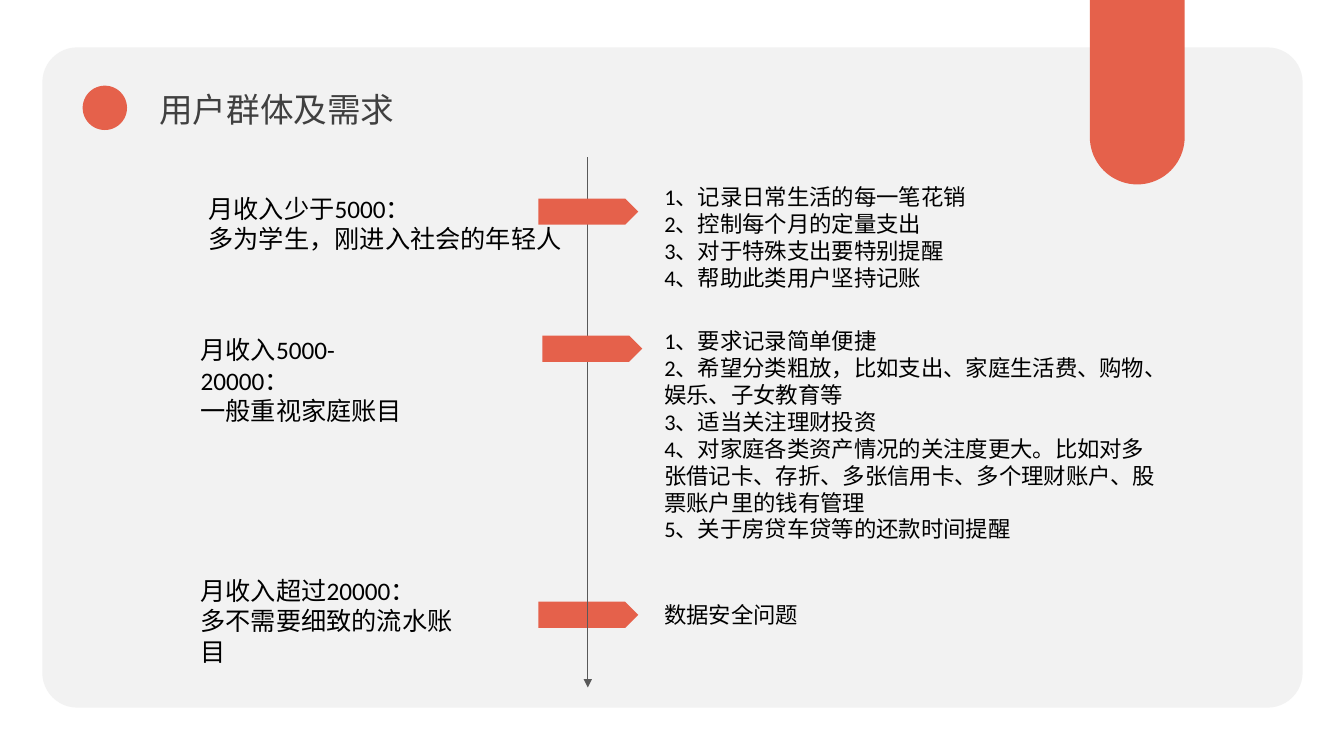
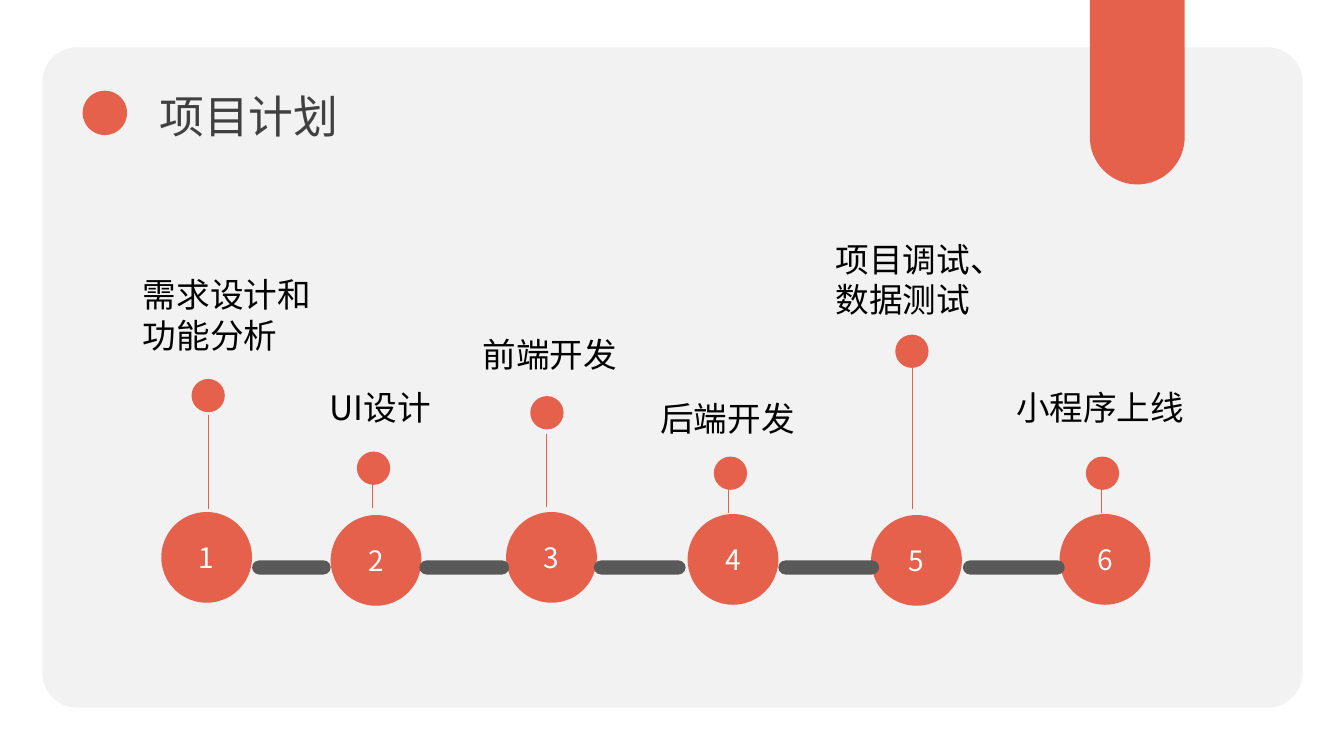
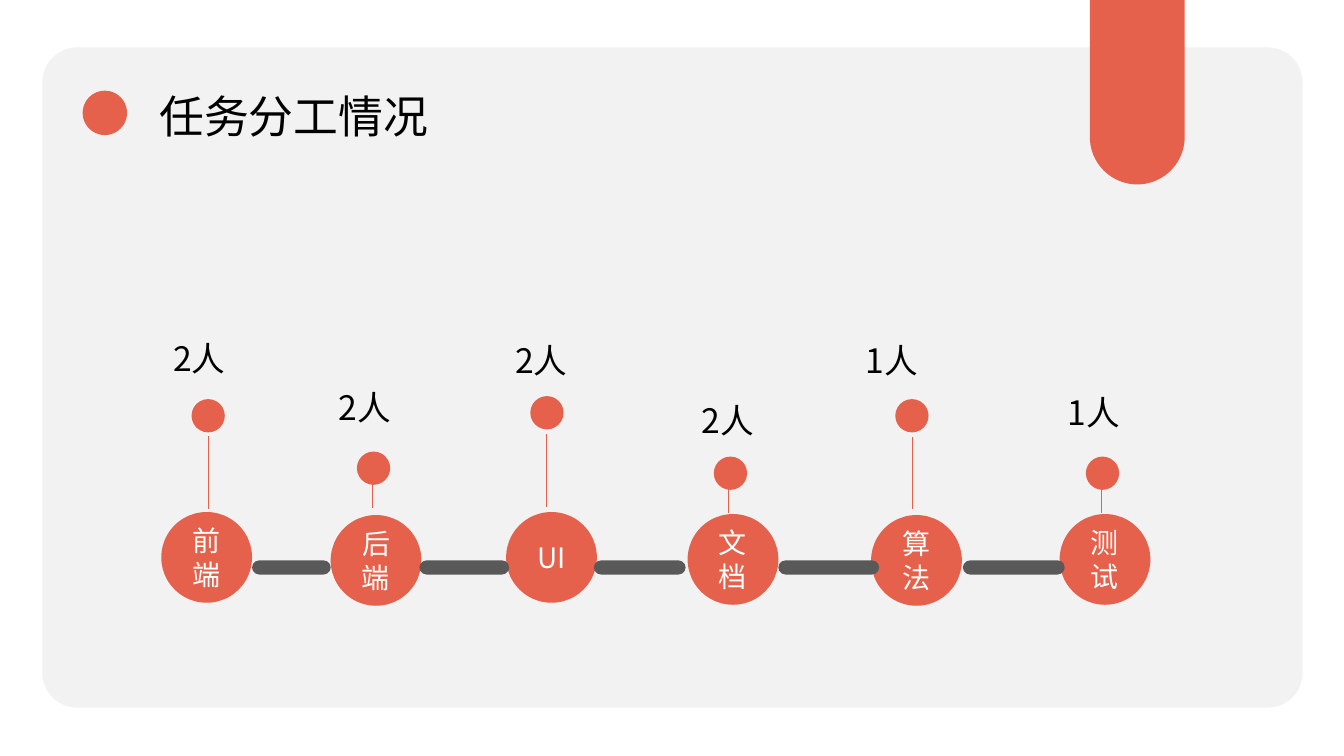
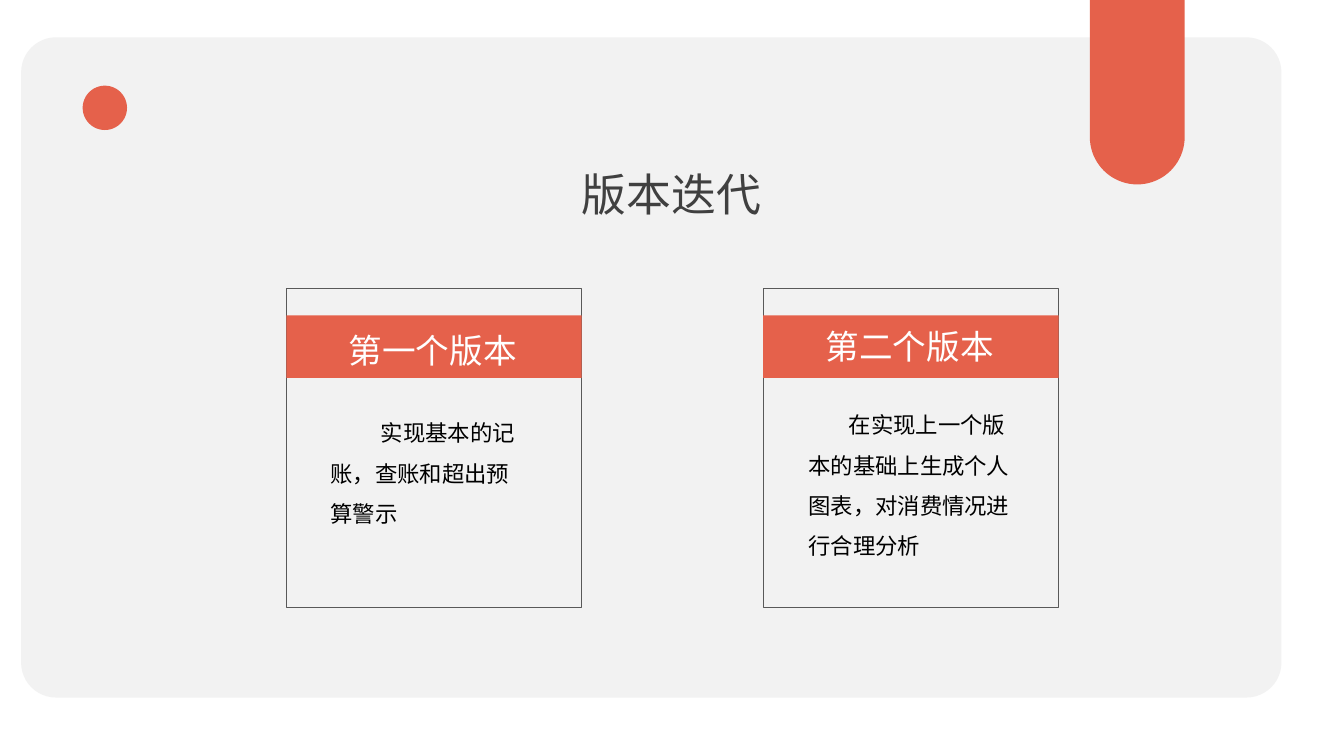
from math import cos, pi, sin

from lxml.etree import SubElement
from pptx import Presentation
from pptx.dml.color import RGBColor
from pptx.enum.lang import MSO_LANGUAGE_ID
from pptx.enum.shapes import MSO_CONNECTOR, MSO_SHAPE
from pptx.enum.text import MSO_ANCHOR, MSO_AUTO_SIZE, PP_ALIGN
from pptx.oxml.ns import qn
from pptx.util import Inches, Pt

RED = RGBColor(0xE5, 0x61, 0x4B)
PALE = RGBColor(0xF2, 0xF2, 0xF2)
GRAY = RGBColor(0x59, 0x59, 0x59)
DARK = RGBColor(0x40, 0x40, 0x40)
BLACK = RGBColor(0, 0, 0)
WHITE = RGBColor(0xFF, 0xFF, 0xFF)
SANS = "Noto Sans CJK SC"
LATIN = "Calibri"


def draw(slide, kind, at, fill=None, line=None, round=None):
    """Add a preset shape; at is left, top, width, height in inches."""
    shape = slide.shapes.add_shape(kind, *map(Inches, at))
    shape.shadow.inherit = False
    if fill is None:
        shape.fill.background()
    else:
        shape.fill.solid()
        shape.fill.fore_color.rgb = fill
    if line is None:
        shape.line.fill.background()
    else:
        shape.line.color.rgb = line
        shape.line.width = Pt(1)
    if round is not None:
        shape.adjustments[0] = round
    return shape


def write(box, text, size=16, color=BLACK, font=SANS, align=PP_ALIGN.LEFT,
          anchor=MSO_ANCHOR.TOP, wrap=True, grow=True, space=None, indent=0):
    """Fill a shape with text, one paragraph per line."""
    frame = box.text_frame
    frame.text = text
    frame.word_wrap = wrap
    frame.vertical_anchor = anchor
    frame.auto_size = MSO_AUTO_SIZE.SHAPE_TO_FIT_TEXT if grow else MSO_AUTO_SIZE.NONE
    for para in frame.paragraphs:
        para.alignment = align
        if space:
            para.line_spacing = space
        for run in para.runs:
            run.font.name = font
            run.font.size = Pt(size)
            run.font.color.rgb = color
            run.font.language_id = MSO_LANGUAGE_ID.SIMPLIFIED_CHINESE
    for props in box.element.iter(qn("a:rPr")):
        SubElement(props, qn("a:ea"), typeface=SANS)
    if indent:
        for props in box.element.iter(qn("a:pPr")):
            props.set("indent", str(Inches(indent)))


deck = Presentation()
deck.slide_width = Inches(13.33)
deck.slide_height = Inches(7.5)

# Shared frame: title, size, colour, title place, dot top, panel corner
pages = [
    ("用户群体及需求", 24, DARK, (1.48, 0.83, 2.56, 0.5), 0.85, (0.42, 0.47)),
    ("项目计划", 32, DARK, (1.48, 0.83, 2, 0.64), 0.9, (0.42, 0.47)),
    ("任务分工情况", 32, BLACK, (1.48, 0.83, 2.89, 0.64), 0.9, (0.42, 0.47)),
    ("版本迭代", 32, DARK, (5.67, 1.6, 2, 0.64), 0.85, (0.21, 0.37)),
]
arc = [(Inches(11.28 + 0.47 * cos(pi * i / 40)), Inches(1.36 + 0.47 * sin(pi * i / 40)))
       for i in range(41)]
slides = []
for text, size, color, at, top, corner in pages:
    slide = deck.slides.add_slide(deck.slide_layouts[5])
    slides.append(slide)
    draw(slide, MSO_SHAPE.ROUNDED_RECTANGLE, (*corner, 12.5, 6.55), PALE, round=0.053)
    path = slide.shapes.build_freeform(Inches(10.81), 0)
    path.add_line_segments([(Inches(11.75), 0)] + arc)
    ribbon = path.convert_to_shape()
    ribbon.shadow.inherit = False
    ribbon.fill.solid()
    ribbon.fill.fore_color.rgb = RED
    ribbon.line.fill.background()
    draw(slide, MSO_SHAPE.OVAL, (0.82, top, 0.44, 0.44), RED)
    title = slide.shapes.title
    title.left, title.top, title.width, title.height = map(Inches, at)
    write(title, text, size=size, color=color, wrap=False)
    title.element.getparent().append(title.element)  # in front of the panel

users, plan, team, versions = slides

# Users and needs
draw(users, MSO_SHAPE.PENTAGON, (5.34, 5.97, 0.99, 0.26), RED)
axis = users.shapes.add_connector(
    MSO_CONNECTOR.STRAIGHT, *map(Inches, (5.83, 1.56, 5.83, 6.82)))
axis.line.color.rgb = GRAY
SubElement(axis.element.find(".//" + qn("a:ln")), qn("a:tailEnd"), type="triangle")
for left, top in [(5.34, 1.97), (5.38, 3.33)]:
    draw(users, MSO_SHAPE.PENTAGON, (left, top, 0.99, 0.26), RED)

notes = [
    ((6.49, 1.77, 5.01, 1.18), 16,
     "1、记录日常生活的每一笔花销\n2、控制每个月的定量支出\n"
     "3、对于特殊支出要特别提醒\n4、帮助此类用户坚持记账"),
    ((6.49, 3.2, 5.1, 2.26), 16,
     "1、要求记录简单便捷\n"
     "2、希望分类粗放，比如支出、家庭生活费、购物、娱乐、子女教育等\n"
     "3、适当关注理财投资\n"
     "4、对家庭各类资产情况的关注度更大。比如对多张借记卡、存折、"
     "多张信用卡、多个理财账户、股票账户里的钱有管理\n"
     "5、关于房贷车贷等的还款时间提醒"),
    ((6.49, 5.91, 5.01, 0.37), 16, "数据安全问题"),
    ((1.97, 1.87, 4.19, 0.71), 18, "月收入少于5000：\n多为学生，刚进入社会的年轻人"),
    ((1.89, 3.27, 2.21, 0.71), 18, "月收入5000-20000：\n一般重视家庭账目"),
    ((1.89, 5.66, 2.88, 1.01), 18, "月收入超过20000：\n多不需要细致的流水账目"),
]
for at, size, text in notes:
    write(users.shapes.add_textbox(*map(Inches, at)), text, size=size, font=LATIN)

# Plan and team share one chain: disc left and top, dot left, stem x and foot
chain = [
    (1.6, 5.08, 1.9, 2.07, 5.05),
    (3.28, 5.11, 3.54, 3.69, 5.04),
    (5.02, 5.08, 5.26, 5.42, 5.03),
    (6.82, 5.1, 7.08, 7.22, 5.09),
    (8.64, 5.11, 8.88, 9.05, 5.05),
    (10.51, 5.1, 10.77, 10.92, 5.09),
]
bars = [(2.5, 0.78), (4.16, 0.89), (5.89, 0.91), (7.72, 1), (9.55, 1.01)]
# Disc text, label, label place, dot top, stem head
steps = [
    (plan, [
        ("1", "需求设计和功能分析", (1.32, 2.67, 1.93, 0.91), 3.76, 4.12),
        ("2", "UI设计", (3.17, 3.79, 2.53, 0.5), 4.48, 4.74),
        ("3", "前端开发", (4.69, 3.26, 2.53, 0.5), 3.93, 4.31),
        ("4", "后端开发", (6.45, 3.9, 2.53, 0.5), 4.53, 4.79),
        ("5", "项目调试、数据测试", (8.19, 2.32, 1.82, 0.91), 3.32, 3.65),
        ("6", "小程序上线", (9.98, 3.79, 2.53, 0.5), 4.53, 4.79),
    ]),
    (team, [
        ("前端", "2人", (1.62, 3.3, 2.53, 0.5), 3.96, 4.33),
        ("后端", "2人", (3.26, 3.79, 2.53, 0.5), 4.48, 4.74),
        ("UI", "2人", (5.01, 3.32, 2.53, 0.5), 3.93, 4.31),
        ("文档", "2人", (6.86, 3.92, 2.53, 0.5), 4.53, 4.79),
        ("算法", "1人", (8.49, 3.32, 2.53, 0.5), 3.96, 4.34),
        ("测试", "1人", (10.49, 3.84, 2.53, 0.5), 4.53, 4.79),
    ]),
]
for slide, items in steps:
    for (left, top, dot, mid, foot), (name, label, at, high, head) in zip(chain, items):
        disc = draw(slide, MSO_SHAPE.OVAL, (left, top, 0.9, 0.9), RED)
        write(disc, name, size=20, color=WHITE, align=PP_ALIGN.CENTER,
              anchor=MSO_ANCHOR.MIDDLE, grow=False)
        write(slide.shapes.add_textbox(*map(Inches, at)), label, size=24)
        draw(slide, MSO_SHAPE.OVAL, (dot, high, 0.33, 0.33), RED)
        stem = slide.shapes.add_connector(
            MSO_CONNECTOR.STRAIGHT, *map(Inches, (mid, head, mid, foot)))
        stem.line.color.rgb = RED
    for left, width in bars:
        draw(slide, MSO_SHAPE.ROUNDED_RECTANGLE, (left, 5.56, width, 0.14), GRAY, round=0.5)

# Versions: card left, heading, heading top, body, body place, first-line indent
cards = [
    (2.84, "第一个版本", 3.22, "实现基本的记账，查账和超出预算警示",
     (3.18, 3.98, 2.06, 1.27), 0.5),
    (7.57, "第二个版本", 3.18, "在实现上一个版本的基础上生成个人图表，对消费情况进行合理分析",
     (7.92, 3.9, 2.23, 1.99), 0.4),
]
for left, name, top, text, at, indent in cards:
    draw(versions, MSO_SHAPE.RECTANGLE, (left, 2.86, 2.93, 3.17), line=GRAY)
    draw(versions, MSO_SHAPE.RECTANGLE, (left, 3.13, 2.93, 0.62), RED)
    head = versions.shapes.add_textbox(*map(Inches, (left + 0.52, top, 1.88, 0.5)))
    write(head, name, size=24, color=WHITE, wrap=False)
    body = versions.shapes.add_textbox(*map(Inches, at))
    write(body, text, font=LATIN, space=1.5, indent=indent)

# Every connector is thin and without shadow
for slide in slides:
    for shape in slide.shapes:
        if shape.element.tag == qn("p:cxnSp"):
            shape.line.width = Pt(0.5)
            SubElement(shape.element.find(qn("p:spPr")), qn("a:effectLst"))

deck.save("out.pptx")
